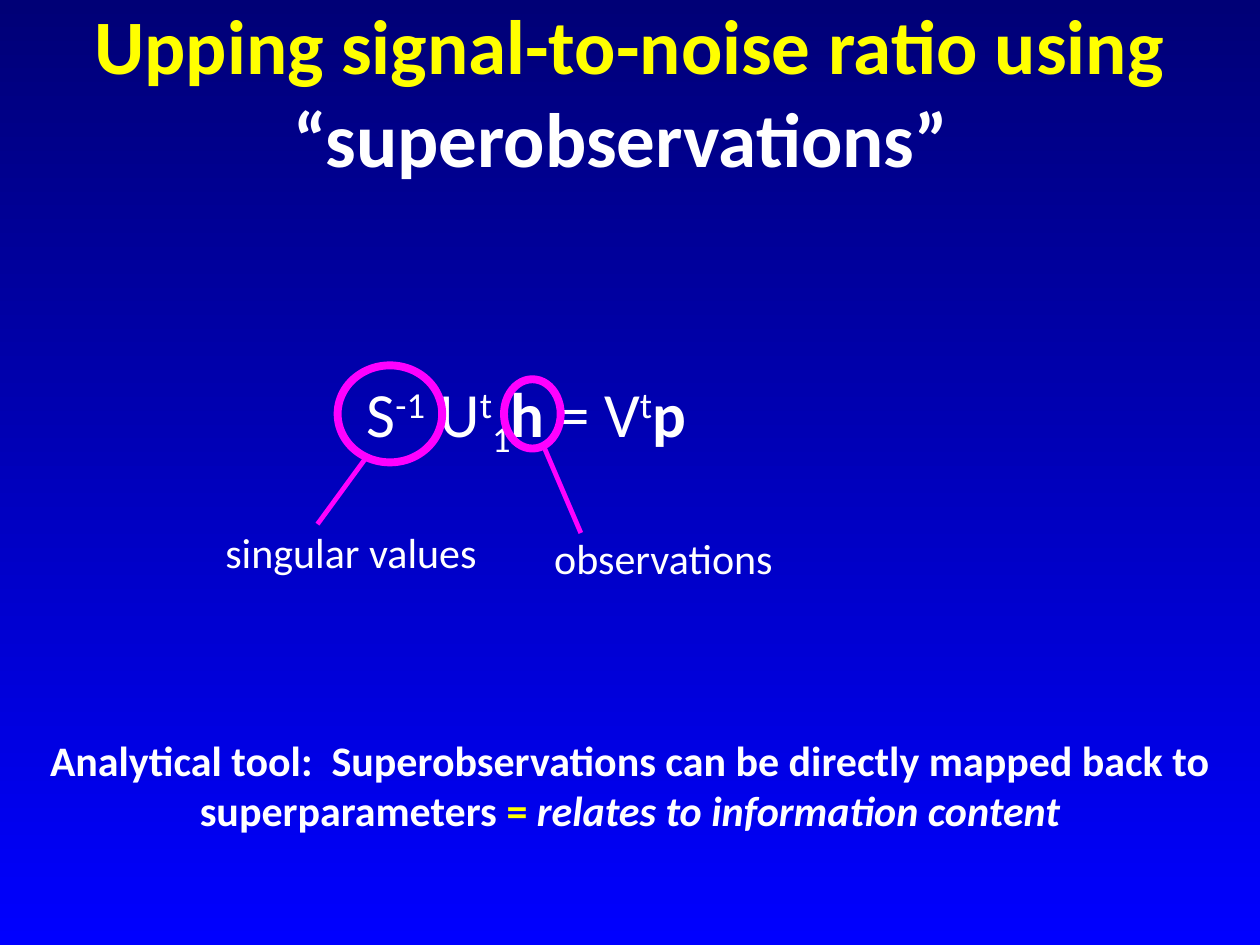
from lxml.etree import SubElement
from pptx import Presentation
from pptx.dml.color import RGBColor as RGB
from pptx.enum.shapes import MSO_CONNECTOR as LINE, MSO_SHAPE as SHAPE
from pptx.enum.text import MSO_ANCHOR as ANCHOR, MSO_AUTO_SIZE as FIT, PP_ALIGN as ALIGN
from pptx.oxml.ns import qn
from pptx.util import Inches, Pt

THEME = {
    "font": "Calibri", "white": "FFFFFF", "gold": "FFFF00", "pink": "FF00FF",
    "top": "000076", "base": "0000FF",
    "title": 44, "math": 36, "body": 24, "ring": 4.5, "lead": 2.75,
}
SUP, SUB = 30, -25

TITLE = [("Upping signal-to-noise ratio using ", {"color": "gold"}),
         ("“superobservations” ", {})]
NOTE = [("Analytical tool:  Superobservations can be directly mapped back to superparameters", {}),
        (" = ", {"color": "gold"}),
        ("relates to information content", {"italic": True})]
MATH = [("S", {}), ("-1", {"shift": SUP}), (" U", {}), ("t", {"shift": SUP}),
        ("1", {"shift": SUB}), ("h", {"bold": True}), (" = V", {}),
        ("t", {"shift": SUP}), ("p", {"bold": True})]
CALLS = [
    {"ring": (2.68, 2.9, 0.83, 0.77), "lead": (2.52, 4.16, 2.9, 3.64),
     "label": (1.69, 4.13, 2.27, 0.5), "text": "singular values"},
    {"ring": (4, 3.01, 0.45, 0.55), "lead": (4.61, 4.23, 4.31, 3.53),
     "label": (4.3, 4.18, 2.27, 0.5), "text": "observations"},
]


def hue(name):
    return RGB.from_string(THEME[name])


def inch(nums):
    return [Inches(n) for n in nums]


def write(shape, runs, size="body", bold=False, align=ALIGN.LEFT,
          anchor=ANCHOR.TOP, fit=FIT.NONE):
    frame = shape.text_frame
    frame.word_wrap = True
    frame.auto_size = fit
    frame.vertical_anchor = anchor
    para = frame.paragraphs[0]
    para.alignment = align
    for text, look in runs:
        run = para.add_run()
        run.text = text
        font = run.font
        font.name = THEME["font"]
        font.size = Pt(THEME[size])
        font.bold = look.get("bold", bold)
        font.italic = look.get("italic", False)
        font.color.rgb = hue(look.get("color", "white"))
        if "shift" in look:
            run._r.get_or_add_rPr().set("baseline", str(look["shift"] * 1000))


def stroke(shape, size):
    shape.line.color.rgb = hue("pink")
    shape.line.width = Pt(THEME[size])


def call_out(slide, call):
    group = slide.shapes.add_group_shape().shapes
    ring = group.add_shape(SHAPE.OVAL, *inch(call["ring"]))
    ring.shadow.inherit = False
    ring.fill.background()
    stroke(ring, "ring")
    lead = group.add_connector(LINE.STRAIGHT, *inch(call["lead"]))
    stroke(lead, "lead")
    SubElement(lead._element.spPr, qn("a:effectLst"))
    label = group.add_textbox(*inch(call["label"]))
    write(label, [(call["text"], {})], fit=FIT.SHAPE_TO_FIT_TEXT)


def main():
    deck = Presentation()
    deck.slide_width, deck.slide_height = inch((10, 7.5))
    slide = deck.slides.add_slide(deck.slide_layouts[5])

    fill = slide.background.fill
    fill.gradient()
    fill.gradient_angle = 270
    for stop, name, place in zip(fill.gradient_stops, ("top", "base"), (0, 1)):
        stop.color.rgb = hue(name)
        stop.position = place

    title = slide.shapes.title
    title.left, title.top, title.width, title.height = inch((0, 0.09, 10, 1.25))
    write(title, TITLE, size="title", bold=True, align=ALIGN.CENTER, anchor=ANCHOR.MIDDLE)

    note = slide.shapes.add_textbox(*inch((0, 5.78, 10, 1.13)))
    write(note, NOTE, bold=True, align=ALIGN.CENTER)

    math = slide.shapes.add_textbox(*inch((2.81, 2.92, 5.09, 0.71)))
    write(math, MATH, size="math", fit=FIT.SHAPE_TO_FIT_TEXT)

    for call in CALLS:
        call_out(slide, call)
    deck.save("out.pptx")


if __name__ == "__main__":
    main()
